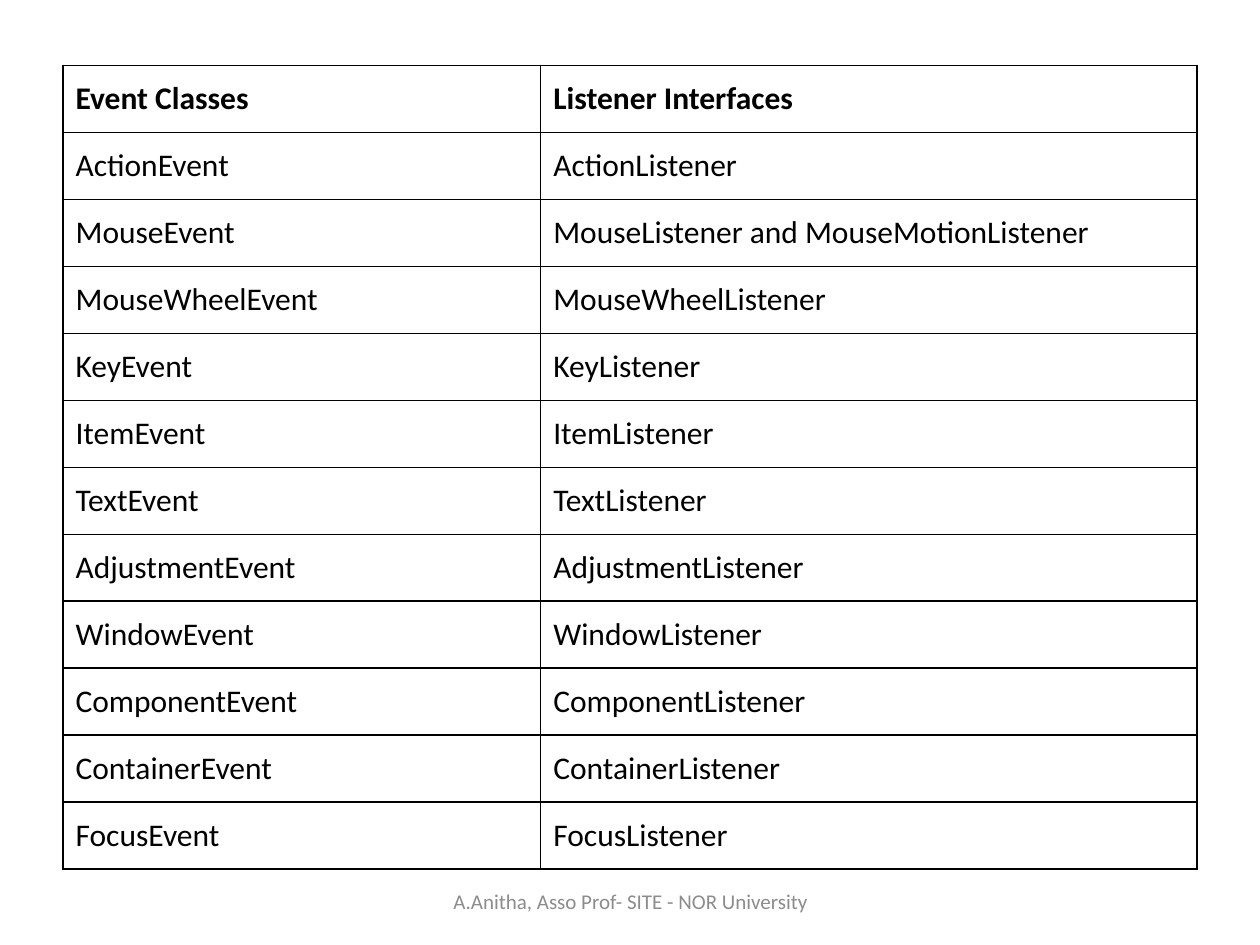
from lxml.etree import SubElement as Sub
from pptx import Presentation
from pptx.dml.color import RGBColor as RGB
from pptx.enum.text import MSO_ANCHOR as Anchor, PP_ALIGN as Align
from pptx.oxml.ns import qn
from pptx.util import Cm, Pt

BLACK = RGB(0x00, 0x00, 0x00)
GRAY = RGB(0x8C, 0x8C, 0x8C)
FONT = "Calibri"

HEADS = ("Event Classes", "Listener Interfaces")
PAIRS = [
    ("ActionEvent", "ActionListener"),
    ("MouseEvent", "MouseListener and MouseMotionListener"),
    ("MouseWheelEvent", "MouseWheelListener"),
    ("KeyEvent", "KeyListener"),
    ("ItemEvent", "ItemListener"),
    ("TextEvent", "TextListener"),
    ("AdjustmentEvent", "AdjustmentListener"),
    ("WindowEvent", "WindowListener"),
    ("ComponentEvent", "ComponentListener"),
    ("ContainerEvent", "ContainerListener"),
    ("FocusEvent", "FocusListener"),
]
WIDTHS = (9.63, 13.23)
ROW = 1.35


def style(frame, size, color, bold=False):
    for run in frame.paragraphs[0].runs:
        font = run.font
        font.name, font.size, font.bold = FONT, Pt(size), bold
        font.color.rgb = color


def border(cell):
    props = cell._tc.get_or_add_tcPr()
    for i, side in enumerate(("lnL", "lnR", "lnT", "lnB")):
        line = Sub(props, qn(f"a:{side}"), w=str(Pt(1)))
        fill = Sub(line, qn("a:solidFill"))
        Sub(fill, qn("a:srgbClr"), val=str(BLACK))
        props.insert(i, line)  # borders come before the fill


def add_grid(slide):
    rows = [HEADS, *PAIRS]
    table = slide.shapes.add_table(
        len(rows), len(HEADS), Cm(1.27), Cm(1.32),
        Cm(sum(WIDTHS)), Cm(ROW * len(rows))).table
    table.horz_banding = False
    for col, width in zip(table.columns, WIDTHS):
        col.width = Cm(width)
    for r, words in enumerate(rows):
        table.rows[r].height = Cm(ROW)
        for c, word in enumerate(words):
            cell = table.cell(r, c)
            cell.text_frame.text = word
            cell.vertical_anchor = Anchor.MIDDLE
            cell.fill.background()
            style(cell.text_frame, 18, BLACK, bold=r == 0)
            border(cell)


def add_foot(slide, text):
    box = slide.shapes.add_textbox(Cm(8.69), Cm(17.65), Cm(8.05), Cm(1.02))
    frame = box.text_frame
    frame.word_wrap = True
    frame.vertical_anchor = Anchor.MIDDLE
    frame.text = text
    frame.paragraphs[0].alignment = Align.CENTER
    style(frame, 12, GRAY)


def main():
    deck = Presentation()
    deck.slide_width, deck.slide_height = Cm(25.4), Cm(19.05)
    slide = deck.slides.add_slide(deck.slide_layouts[6])

    # Event classes and their listeners
    add_grid(slide)

    # Footer
    add_foot(slide, "A.Anitha, Asso Prof- SITE - NOR University")

    deck.save("out.pptx")


if __name__ == "__main__":
    main()
